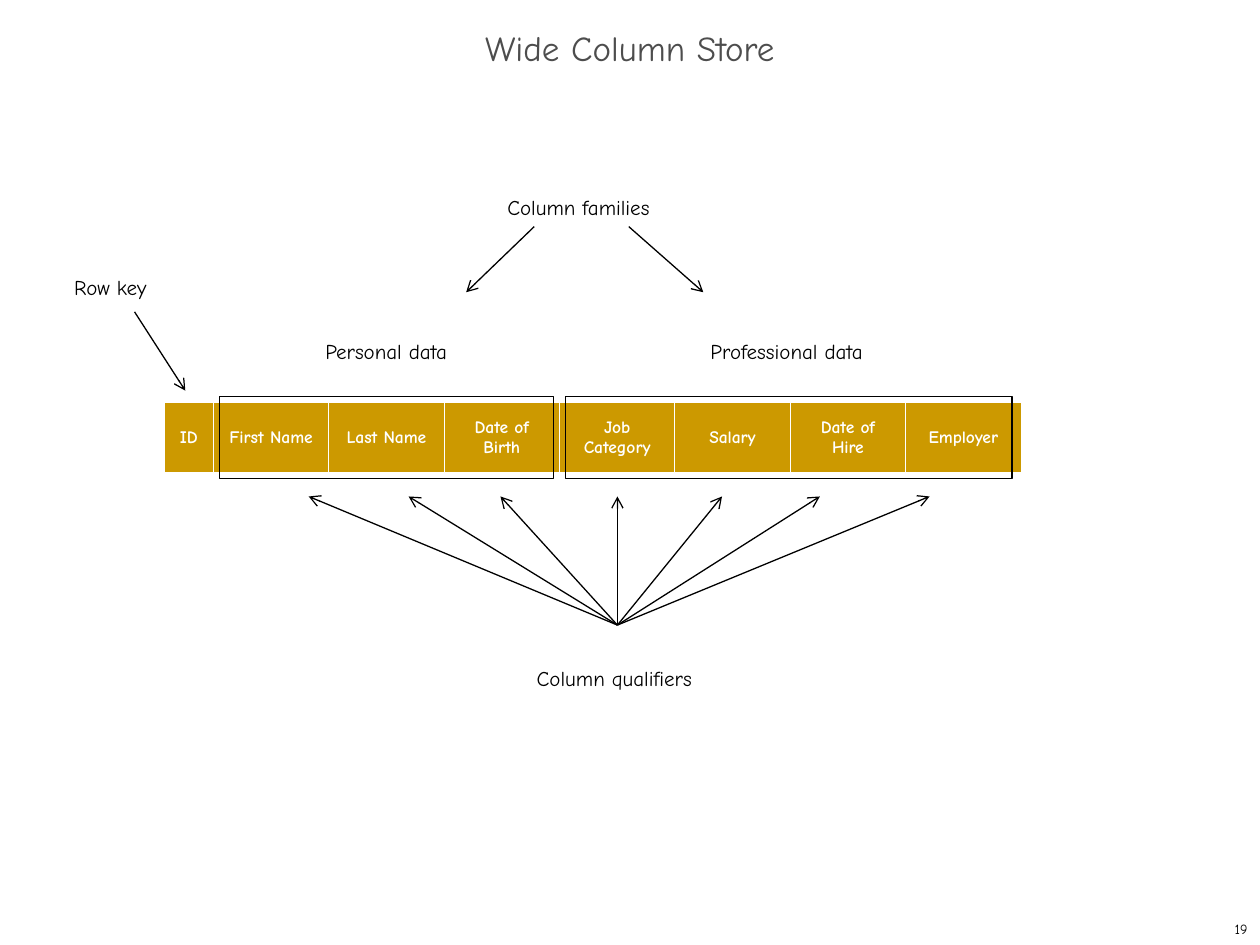
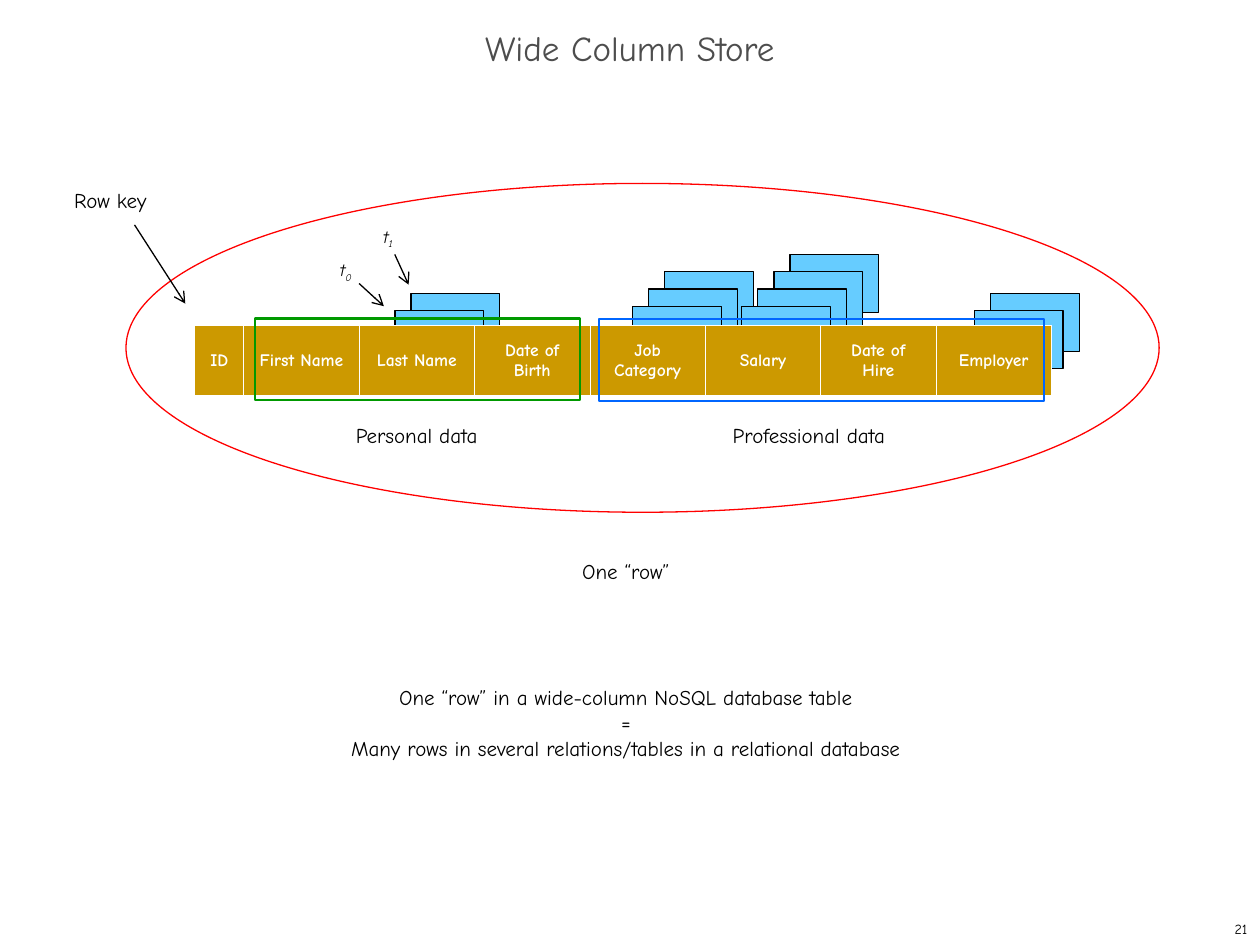
from lxml import etree
from pptx import Presentation
from pptx.dml.color import RGBColor
from pptx.enum.shapes import MSO_CONNECTOR, MSO_SHAPE
from pptx.enum.text import MSO_ANCHOR, PP_ALIGN
from pptx.oxml.ns import qn
from pptx.util import Pt

LEFT, MID, RIGHT = PP_ALIGN.LEFT, PP_ALIGN.CENTER, PP_ALIGN.RIGHT
TOP, HALF = MSO_ANCHOR.TOP, MSO_ANCHOR.MIDDLE
RECT, OVAL = MSO_SHAPE.RECTANGLE, MSO_SHAPE.OVAL
STRAIGHT = MSO_CONNECTOR.STRAIGHT

HUES = {
    "ink": "000000", "title": "4D4D4D", "white": "FFFFFF", "gold": "CC9900",
    "sky": "66CCFF", "red": "FF0000", "green": "009900", "blue": "0066FF",
}
FONT = "Comic Neue"
FIELDS = ["ID", "First Name", "Last Name", "Date of Birth",
          "Job Category", "Salary", "Date of Hire", "Employer"]
KEY_WIDE, FIELD_WIDE, ROW_HIGH = 28, 65.95, 40.3
CARD_WIDE, CARD_HIGH = 50.7, 33.2
STEP_X, STEP_Y = 9.2, 9.9
FRAME_HIGH = 46.8


def hue(name):
    return RGBColor.from_string(HUES[name])


class Deck:
    def __init__(self):
        self.prs = Presentation()
        self.prs.slide_width, self.prs.slide_height = Pt(720), Pt(540)
        self.slide = None

    def page(self, title, number):
        self.slide = self.prs.slides.add_slide(self.prs.slide_layouts[6])
        head = self.text(title, 0, 12.2, 720, 36, 20, "title", MID, HALF, True)
        head.paragraphs[0].line_spacing = 0.7
        self.text(number, 570, 522, 150, 18, 8, "ink", RIGHT, HALF, True)

    def style(self, para, size, color, align, bold=False):
        para.alignment = align
        for run in para.runs:
            font = run.font
            font.name, font.size, font.bold = FONT, Pt(size), bold
            font.color.rgb = hue(color)

    def text(self, words, x, y, wide, high=21.6, size=12, color="ink",
             align=LEFT, anchor=TOP, wrap=False):
        box = self.slide.shapes.add_textbox(Pt(x), Pt(y), Pt(wide), Pt(high))
        frame = box.text_frame
        frame.text = words
        frame.word_wrap, frame.vertical_anchor = wrap, anchor
        for para in frame.paragraphs:
            self.style(para, size, color, align)
        return frame

    def time(self, sub, x, y):
        frame = self.text("t", x, y, 30, 20.9, 10, wrap=True)
        para = frame.paragraphs[0]
        low = para.add_run()
        low.text = sub
        self.style(para, 10, "ink", LEFT)
        for run in para.runs:
            run.font.italic = True
        low._r.get_or_add_rPr().set("baseline", "-25000")

    def shape(self, kind, x, y, wide, high, line="ink", width=0.75, fill=None):
        item = self.slide.shapes.add_shape(kind, Pt(x), Pt(y), Pt(wide), Pt(high))
        item.shadow.inherit = False
        if fill:
            item.fill.solid()
            item.fill.fore_color.rgb = hue(fill)
        else:
            item.fill.background()
        item.line.color.rgb = hue(line)
        item.line.width = Pt(width)

    def stack(self, x, y, count):
        for depth in reversed(range(count)):
            self.shape(RECT, x + depth * STEP_X, y - depth * STEP_Y,
                       CARD_WIDE, CARD_HIGH, fill="sky")

    def arrow(self, x, y, to_x, to_y):
        link = self.slide.shapes.add_connector(
            STRAIGHT, Pt(x), Pt(y), Pt(to_x), Pt(to_y))
        link.line.color.rgb = hue("ink")
        link.line.width = Pt(0.75)
        props = link._element.spPr
        tip = etree.SubElement(props.find(qn("a:ln")), qn("a:tailEnd"))
        tip.set("type", "arrow")
        etree.SubElement(props, qn("a:effectLst"))

    def border(self, cell):
        props = cell._tc.get_or_add_tcPr()
        for side, width in (("L", 0.45), ("R", 0.45), ("T", 0.45), ("B", 1.47)):
            edge = etree.SubElement(props, qn("a:ln" + side), w=str(Pt(width)))
            fill = etree.SubElement(edge, qn("a:solidFill"))
            etree.SubElement(fill, qn("a:srgbClr"), val=HUES["white"])

    def row(self, x, y):
        wide = KEY_WIDE + FIELD_WIDE * (len(FIELDS) - 1)
        table = self.slide.shapes.add_table(
            1, len(FIELDS), Pt(x), Pt(y), Pt(wide), Pt(ROW_HIGH)).table
        table.first_row = table.horz_banding = False
        for col, name in enumerate(FIELDS):
            table.columns[col].width = Pt(FIELD_WIDE if col else KEY_WIDE)
            cell = table.cell(0, col)
            cell.text = name
            cell.vertical_anchor = HALF
            self.style(cell.text_frame.paragraphs[0], 10, "white", MID, True)
            self.border(cell)
            cell.fill.solid()
            cell.fill.fore_color.rgb = hue("gold")

    def key(self, y):
        self.text("Row key", 35.3, y, 56.2)
        self.arrow(76.9, y + 24.8, 105.9, y + 69.8)

    def groups(self, y, left, right):
        self.text("Personal data", left, y, 85)
        self.text("Professional data", right, y, 102.2)


def parts(deck):
    deck.page("Wide Column Store", "19")
    deck.row(93.9, 230.1)
    deck.groups(189.7, 178.8, 398.9)
    deck.key(153.4)
    deck.text("Column families", 282.8, 107.5, 95.8)
    deck.arrow(305.3, 129.5, 266.4, 167)
    deck.arrow(359.3, 129.5, 401.9, 167)
    deck.text("Column qualifiers", 299.6, 376.6, 103)
    for x in (176.4, 233.5, 286, 352.8, 412.6, 468.5, 531.2):
        deck.arrow(352.8, 357.2, x, 283.7)
    for x, wide in ((125.4, 190.8), (323.3, 255)):
        deck.shape(RECT, x, 226.6, wide, FRAME_HIGH)


def whole(deck):
    deck.page("Wide Column Store", "21")
    for x, y, count in ((225.7, 177.5, 2), (556.8, 177.5, 2),
                        (361.5, 175, 3), (423.8, 175, 4)):
        deck.stack(x, y, count)
    deck.time("1", 211.8, 125.5)
    deck.arrow(225.6, 145.4, 233.5, 162.7)
    deck.time("0", 187.2, 144.6)
    deck.arrow(205.2, 162, 219.4, 175)
    deck.row(111.3, 186)
    deck.shape(OVAL, 72, 104.8, 590.4, 187.9, "red")
    note = deck.text(
        "One “row”\nOne “row” in a wide-column NoSQL database table\n=\n"
        "Many rows in several relations/tables in a relational database",
        192.4, 315.8, 330.5, 122.4, align=MID)
    note.paragraphs[1].space_before = Pt(57.6)
    deck.shape(RECT, 145.6, 182, 186, FRAME_HIGH, "green", 1.25)
    deck.shape(RECT, 342.2, 182.2, 254.3, FRAME_HIGH, "blue", 1.25)
    deck.groups(237.8, 196.2, 411.6)
    deck.key(103.7)


def main():
    deck = Deck()
    parts(deck)
    whole(deck)
    deck.prs.save("out.pptx")


if __name__ == "__main__":
    main()
